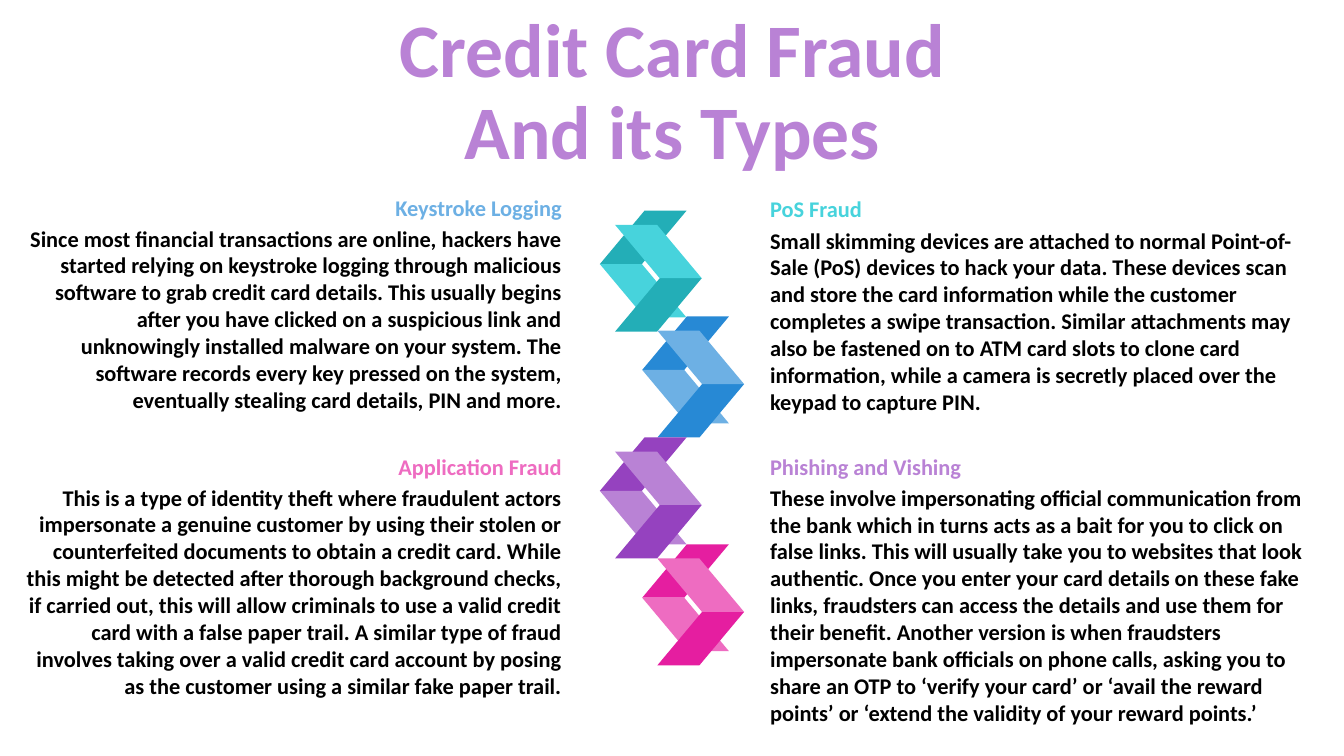
from pptx import Presentation
from pptx.dml.color import RGBColor
from pptx.enum.shapes import MSO_SHAPE
from pptx.enum.text import MSO_ANCHOR, MSO_AUTO_SIZE, PP_ALIGN
from pptx.util import Inches, Pt

COLORS = {
    "black": "000000",
    "teal": "47D3DC", "dark teal": "23AEB7",
    "blue": "6DB0E4", "dark blue": "2789D5",
    "purple": "B982D5", "dark purple": "9542BF",
    "pink": "EE6CC1", "dark pink": "E51EA0",
}

RIBBONS = [
    (5.95, 2.09, "teal"),
    (6.37, 3.14, "blue"),
    (5.95, 4.34, "purple"),
    (6.37, 5.40, "pink"),
]

FOLDS = [
    (0, 0, 0, False, "dark "),
    (0, 0.53, 0, True, ""),
    (0.15, 0.67, 180, False, "dark "),
    (0.15, 0.14, 180, True, ""),
]

FRAUD_TYPES = [
    ("PoS Fraud", "teal", PP_ALIGN.LEFT, (7.54, 1.89, 4.83, 0.37), (7.54, 2.2, 5.67, 1.99),
     "Small skimming devices are attached to normal Point-of-Sale (PoS) devices to hack your data. "
     "These devices scan and store the card information while the customer completes a swipe "
     "transaction. Similar attachments may also be fastened on to ATM card slots to clone card "
     "information, while a camera is secretly placed over the keypad to capture PIN."),
    ("Phishing and Vishing", "purple", PP_ALIGN.LEFT, (7.54, 4.45, 4.83, 0.37), (7.54, 4.75, 5.57, 2.52),
     "These involve impersonating official communication from the bank which in turns acts as a bait "
     "for you to click on false links. This will usually take you to websites that look authentic. "
     "Once you enter your card details on these fake links, fraudsters can access the details and use "
     "them for their benefit. Another version is when fraudsters impersonate bank officials on phone "
     "calls, asking you to share an OTP to ‘verify your card’ or ‘avail the reward points’ or ‘extend "
     "the validity of your reward points.’"),
    ("Keystroke Logging", "blue", PP_ALIGN.RIGHT, (1.12, 1.88, 4.55, 0.37), (0.2, 2.18, 5.47, 1.99),
     "Since most financial transactions are online, hackers have started relying on keystroke logging "
     "through malicious software to grab credit card details. This usually begins after you have "
     "clicked on a suspicious link and unknowingly installed malware on your system. The software "
     "records every key pressed on the system, eventually stealing card details, PIN and more."),
    ("Application Fraud", "pink", PP_ALIGN.RIGHT, (0.1, 4.45, 5.57, 0.37), (0.1, 4.75, 5.57, 2.26),
     "This is a type of identity theft where fraudulent actors impersonate a genuine customer by using "
     "their stolen or counterfeited documents to obtain a credit card. While this might be detected "
     "after thorough background checks, if carried out, this will allow criminals to use a valid credit "
     "card with a false paper trail. A similar type of fraud involves taking over a valid credit card "
     "account by posing as the customer using a similar fake paper trail."),
]


class FraudSlide:
    font = "Calibri"

    def __init__(self, page):
        self.page = page

    def color(self, name):
        return RGBColor.from_string(COLORS[name])

    def span(self, para, words, size, color):
        span = para.add_run()
        span.text = words
        span.font.name = self.font
        span.font.size = Pt(size)
        span.font.bold = True
        span.font.color.rgb = self.color(color)

    def text(self, shapes, place, lines, size, color, align):
        box = shapes.add_textbox(*map(Inches, place))
        frame = box.text_frame
        frame.word_wrap = True
        para = frame.paragraphs[0]
        para.alignment = align
        for number, line in enumerate(lines):
            if number:
                para.add_line_break()
            self.span(para, line, size, color)
        return frame

    def title(self, place, lines):
        frame = self.text(self.page.shapes, place, lines, 54, "purple", PP_ALIGN.CENTER)
        frame.vertical_anchor = MSO_ANCHOR.MIDDLE
        frame.paragraphs[0].line_spacing = 0.9

    def ribbon(self, left, top, color):
        group = self.page.shapes.add_group_shape()
        for across, down, turn, flipped, shade in FOLDS:
            fold = group.shapes.add_shape(
                MSO_SHAPE.PARALLELOGRAM, Inches(left + across), Inches(top + down),
                Inches(0.86), Inches(0.53))
            fold.adjustments[0] = 0.836
            fold.rotation = turn
            if flipped:
                fold.element.spPr.xfrm.set("flipH", "1")
            fold.shadow.inherit = False
            fold.fill.solid()
            fold.fill.fore_color.rgb = self.color(shade + color)
            fold.line.fill.background()

    def fraud_type(self, heading, color, align, heading_place, body_place, body):
        group = self.page.shapes.add_group_shape()
        for place, words, ink in ((body_place, body, "black"), (heading_place, heading, color)):
            frame = self.text(group.shapes, place, [words], 16, ink, align)
            frame.auto_size = MSO_AUTO_SIZE.SHAPE_TO_FIT_TEXT


def main():
    deck = Presentation()
    deck.slide_width = Inches(13.33)
    deck.slide_height = Inches(7.5)
    slide = FraudSlide(deck.slides.add_slide(deck.slide_layouts[6]))
    slide.title((-0.48, 0.54, 14.3, 0.79), ["Credit Card Fraud", "And its Types"])
    for ribbon in RIBBONS:
        slide.ribbon(*ribbon)
    for fraud_type in FRAUD_TYPES:
        slide.fraud_type(*fraud_type)
    deck.save("out.pptx")


if __name__ == "__main__":
    main()
